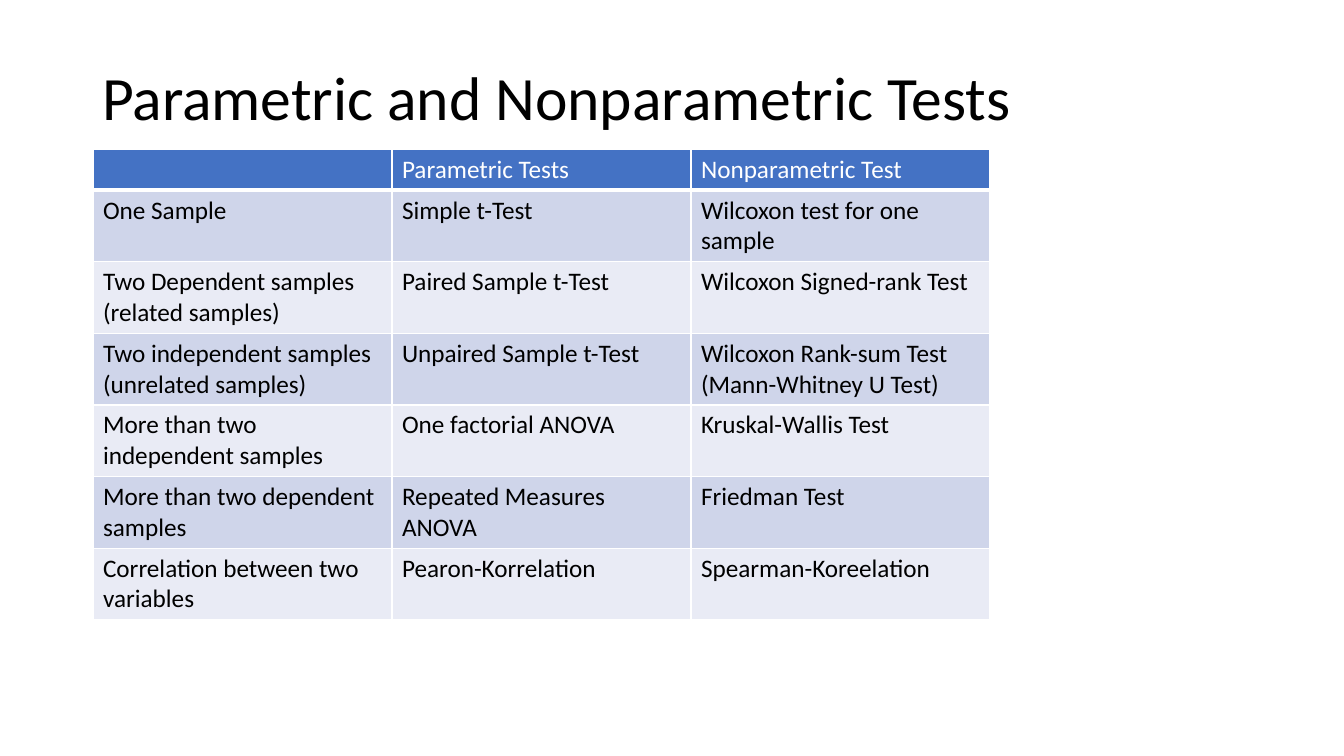
from lxml import etree
from pptx import Presentation
from pptx import util as u
from pptx.dml.color import RGBColor
from pptx.enum import text
from pptx.oxml.ns import qn

# Content
TITLE = "Parametric and Nonparametric Tests"
ROWS = [
    ("", "Parametric Tests", "Nonparametric Test"),
    ("One Sample", "Simple t-Test", "Wilcoxon test for one sample"),
    ("Two Dependent samples (related samples)", "Paired Sample t-Test",
     "Wilcoxon Signed-rank Test"),
    ("Two independent samples (unrelated samples)", "Unpaired Sample t-Test",
     "Wilcoxon Rank-sum Test\n(Mann-Whitney U Test)"),
    ("More than two independent samples", "One factorial ANOVA",
     "Kruskal-Wallis Test"),
    ("More than two dependent samples", "Repeated Measures ANOVA",
     "Friedman Test"),
    ("Correlation between two variables", "Pearon-Korrelation",
     "Spearman-Koreelation"),
]

# Style and layout, lengths in px
FONT = "Calibri"
BLACK = RGBColor(0x00, 0x00, 0x00)
WHITE = RGBColor(0xFF, 0xFF, 0xFF)
BLUE = RGBColor(0x44, 0x72, 0xC4)
BANDS = (RGBColor(0xE9, 0xEB, 0xF5), RGBColor(0xCF, 0xD5, 0xEA))
SLIDE_W, SLIDE_H = 1344, 756
TITLE_BOX = (92, 28, 1159, 146)
TABLE_X, TABLE_Y, COL_W, ROW_H = 93, 149, 299, 41


def px(n):
    return u.Emu(round(n * 914400 / 100.8))


def set_font(p, size, color):
    p.font.name, p.font.size, p.font.bold = FONT, u.Pt(size), False
    p.font.color.rgb = color


def set_borders(cell, bottom):
    tcPr = cell._tc.get_or_add_tcPr()
    for i, (side, width) in enumerate(
            (("L", 1), ("R", 1), ("T", 1), ("B", bottom))):
        ln = etree.Element(qn("a:ln" + side), w=str(u.Pt(width)))
        fill = etree.SubElement(ln, qn("a:solidFill"))
        etree.SubElement(fill, qn("a:srgbClr"), val=str(WHITE))
        tcPr.insert(i, ln)


prs = Presentation()
prs.slide_width, prs.slide_height = px(SLIDE_W), px(SLIDE_H)
s = prs.slides.add_slide(prs.slide_layouts[5])

# Title
title = s.shapes.title
title.left, title.top, title.width, title.height = map(px, TITLE_BOX)
tf = title.text_frame
tf.text = TITLE
tf.vertical_anchor = text.MSO_ANCHOR.MIDDLE
p = tf.paragraphs[0]
p.alignment = text.PP_ALIGN.LEFT
p.line_spacing = 0.9
set_font(p, 44, BLACK)

# Table of tests
n_rows, n_cols = len(ROWS), len(ROWS[0])
table = s.shapes.add_table(n_rows, n_cols, px(TABLE_X), px(TABLE_Y),
                           px(COL_W * n_cols), px(ROW_H * n_rows)).table
for col in table.columns:
    col.width = px(COL_W)
for i, row in enumerate(ROWS):
    table.rows[i].height = px(ROW_H)
    for j, words in enumerate(row):
        cell = table.cell(i, j)
        cell.text = words
        cell.fill.solid()
        cell.fill.fore_color.rgb = BANDS[i % 2] if i else BLUE
        set_borders(cell, bottom=1 if i else 3)
        for p in cell.text_frame.paragraphs:
            set_font(p, 18, BLACK if i else WHITE)

prs.save("out.pptx")
